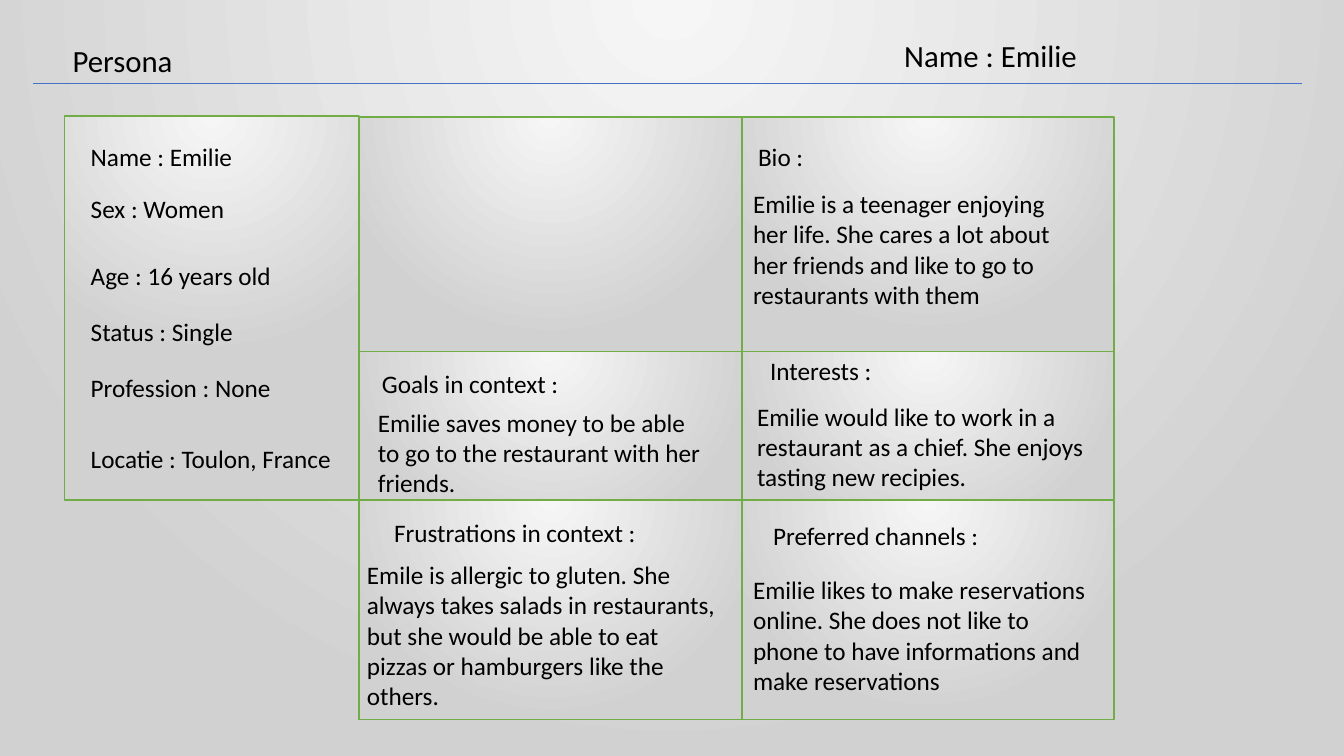
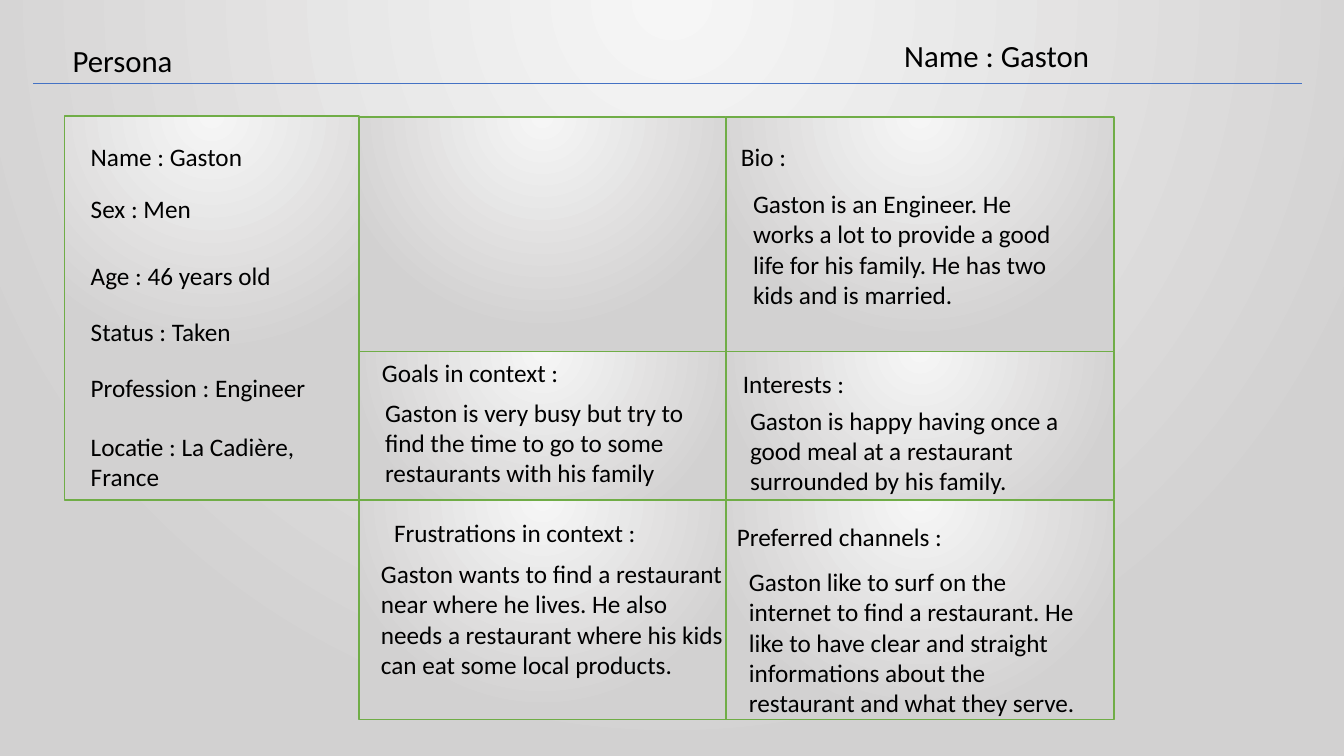
import lxml.etree
import pptx
import pptx.dml.color
import pptx.enum.shapes
import pptx.enum.text
import pptx.oxml.ns
import pptx.util

Inches = pptx.util.Inches
Pt = pptx.util.Pt
qn = pptx.oxml.ns.qn

COLORS = {"text": "000000", "rule": "4472C4", "border": "70AD47",
          "glow": "F6F6F6", "shade": "D2D1D1"}
FONT = "Calibri"
TITLE_SIZE, TEXT_SIZE = 22, 18

PROFILE_BOX = (0.64, 1.15, 2.92, 3.81)
GRID_LEFT, GRID_RIGHT = 3.56, 11.05
ROW_EDGES = (1.16, 3.49, 4.96, 7.14)
PANELS = {"Bio :": (0, 1, 3.42), "Goals in context :": (1, 0, 3.48),
          "Interests :": (1, 1, 3.52), "Frustrations in context :": (2, 0, 3.69),
          "Preferred channels :": (2, 1, 3.59)}

PERSONAS = [
    {"name": "Name : Emilie", "split": 7.36,
     "facts": [("Name : Emilie", 0), ("Sex : Women", 15.5), ("Age : 16 years old", 26.5),
               ("Status : Single", 18.5), ("Profession : None", 18.5),
               ("Locatie : Toulon, France", 28.5)],
     "panels": {
         "Bio :": ((0.06, 0.19), (0.01, 0.66),
                   "Emilie is a teenager enjoying her life. She cares a lot about her "
                   "friends and like to go to restaurants with them"),
         "Goals in context :": ((0.13, 0.11), (0.09, 0.5),
                                "Emilie saves money to be able to go to the restaurant "
                                "with her friends."),
         "Interests :": ((0.18, -0.01), (0.05, 0.44),
                         "Emilie would like to work in a restaurant as a chief. She "
                         "enjoys tasting new recipies."),
         "Frustrations in context :": ((0.25, 0.12), (-0.02, 0.54),
                                       "Emile is allergic to gluten. She always takes "
                                       "salads in restaurants, but she would be able to "
                                       "eat pizzas or hamburgers like the others."),
         "Preferred channels :": ((0.21, 0.15), (0.01, 0.69),
                                  "Emilie likes to make reservations online. She does not "
                                  "like to phone to have informations and make "
                                  "reservations")}},
    {"name": "Name : Gaston", "split": 7.2,
     "facts": [("Name : Gaston", 0), ("Sex : Men", 15.5), ("Age : 46 years old", 26.5),
               ("Status : Taken", 18.5), ("Profession : Engineer", 18.5),
               ("Locatie : La Cadière, France", 20)],
     "panels": {
         "Bio :": ((0.05, 0.19), (0.17, 0.66),
                   "Gaston is an Engineer. He works a lot to provide a good life for his "
                   "family. He has two kids and is married."),
         "Goals in context :": ((0.13, 0.01), (0.16, 0.4),
                                "Gaston is very busy but try to find the time to go to "
                                "some restaurants with his family"),
         "Interests :": ((0.07, 0.11), (0.14, 0.48),
                         "Gaston is happy having once a good meal at a restaurant "
                         "surrounded by his family."),
         "Frustrations in context :": ((0.25, 0.12), (0.12, 0.53),
                                       "Gaston wants to find a restaurant near where he "
                                       "lives. He also needs a restaurant where his kids "
                                       "can eat some local products."),
         "Preferred channels :": ((0.01, 0.16), (0.13, 0.61),
                                  "Gaston like to surf on the internet to find a "
                                  "restaurant. He like to have clear and straight "
                                  "informations about the restaurant and what they "
                                  "serve.")}},
]


def color(name):
    return pptx.dml.color.RGBColor.from_string(COLORS[name])


def fill_with_glow(fill, owner):
    fill.gradient()
    for stop, name in zip(fill.gradient_stops, ("glow", "shade")):
        stop.color.rgb = color(name)
    gradient = next(owner.iter(qn("a:gradFill")))
    direction = gradient.find(qn("a:lin"))
    circle = lxml.etree.Element(qn("a:path"), path="circle")
    lxml.etree.SubElement(circle, qn("a:fillToRect"), l="43000", r="43000", b="100000")
    gradient.replace(direction, circle)


def style_panel(panel):
    fill_with_glow(panel.fill, panel._element)
    panel.line.color.rgb = color("border")
    panel.line.width = Pt(1)


def place(shape, left, top, width, height):
    shape.left, shape.top = Inches(left), Inches(top)
    shape.width, shape.height = Inches(width), Inches(height)


def style_paragraph(paragraph, size):
    paragraph.alignment = pptx.enum.text.PP_ALIGN.LEFT
    paragraph.font.name = FONT
    paragraph.font.size = Pt(size)
    paragraph.font.color.rgb = color("text")


def prepare_frame(frame, wrap=True):
    frame.word_wrap = wrap
    frame.auto_size = pptx.enum.text.MSO_AUTO_SIZE.NONE
    frame.vertical_anchor = pptx.enum.text.MSO_ANCHOR.TOP


def add_label(slide, text, left, top, width, height=0.4, size=TEXT_SIZE, wrap=True):
    label = slide.shapes.add_textbox(Inches(left), Inches(top), Inches(width), Inches(height))
    prepare_frame(label.text_frame, wrap)
    label.text_frame.text = text
    style_paragraph(label.text_frame.paragraphs[0], size)


def add_header(slide, persona_name):
    title = slide.shapes.title
    place(title, 0.62, 0.36, 1.44, 0.47)
    prepare_frame(title.text_frame)
    title.text_frame.text = "Persona"
    style_paragraph(title.text_frame.paragraphs[0], TITLE_SIZE)
    rule = slide.shapes.add_connector(pptx.enum.shapes.MSO_CONNECTOR.STRAIGHT,
                                      Inches(0.33), Inches(0.83), Inches(12.91), Inches(0.83))
    rule.line.color.rgb = color("rule")
    rule.line.width = Pt(0.5)
    lxml.etree.SubElement(rule._element.spPr, qn("a:effectLst"))
    add_label(slide, persona_name, 8.87, 0.32, 2.46, 0.47, TITLE_SIZE)


def add_profile(slide, box, facts):
    profile = slide.placeholders[1]
    place(profile, *box)
    style_panel(profile)
    frame = profile.text_frame
    prepare_frame(frame)
    frame.margin_left, frame.margin_top = Inches(0.26), Inches(0.25)
    frame.margin_right, frame.margin_bottom = Inches(0.16), 0
    frame.text = "\n".join(fact for fact, gap in facts)
    for paragraph, (fact, gap) in zip(frame.paragraphs, facts):
        paragraph.space_before = Pt(gap)
        properties = paragraph._p.get_or_add_pPr()
        properties.set("marL", "0")
        properties.set("indent", "0")
        lxml.etree.SubElement(properties, qn("a:buNone"))
        style_paragraph(paragraph, TEXT_SIZE)


def add_panel(slide, box):
    panel = slide.shapes.add_shape(pptx.enum.shapes.MSO_SHAPE.RECTANGLE,
                                   *(Inches(length) for length in box))
    panel.shadow.inherit = False
    style_panel(panel)


def add_panel_text(slide, box, heading, heading_offset, detail, detail_offset, detail_width):
    left, top, width, height = box
    add_label(slide, heading, left + heading_offset[0], top + heading_offset[1], 2.68,
              wrap=False)
    add_label(slide, detail, left + detail_offset[0], top + detail_offset[1],
              detail_width, height - detail_offset[1])


def add_grid(slide, split, panels):
    columns = (GRID_LEFT, split, GRID_RIGHT)
    cells = {(row, column): (columns[column], ROW_EDGES[row],
                             columns[column + 1] - columns[column],
                             ROW_EDGES[row + 1] - ROW_EDGES[row])
             for row in range(3) for column in range(2)}
    for box in cells.values():
        add_panel(slide, box)
    for heading, (row, column, detail_width) in PANELS.items():
        heading_offset, detail_offset, detail = panels[heading]
        add_panel_text(slide, cells[row, column], heading, heading_offset,
                       detail, detail_offset, detail_width)


def add_persona_slide(deck, persona):
    slide = deck.slides.add_slide(deck.slide_layouts[1])
    add_header(slide, persona["name"])
    add_profile(slide, PROFILE_BOX, persona["facts"])
    add_grid(slide, persona["split"], persona["panels"])


def main():
    deck = pptx.Presentation()
    deck.slide_width, deck.slide_height = Inches(13.33), Inches(7.5)
    master = deck.slide_master
    fill_with_glow(master.background.fill, master._element)
    for persona in PERSONAS:
        add_persona_slide(deck, persona)
    deck.save("out.pptx")


if __name__ == "__main__":
    main()
